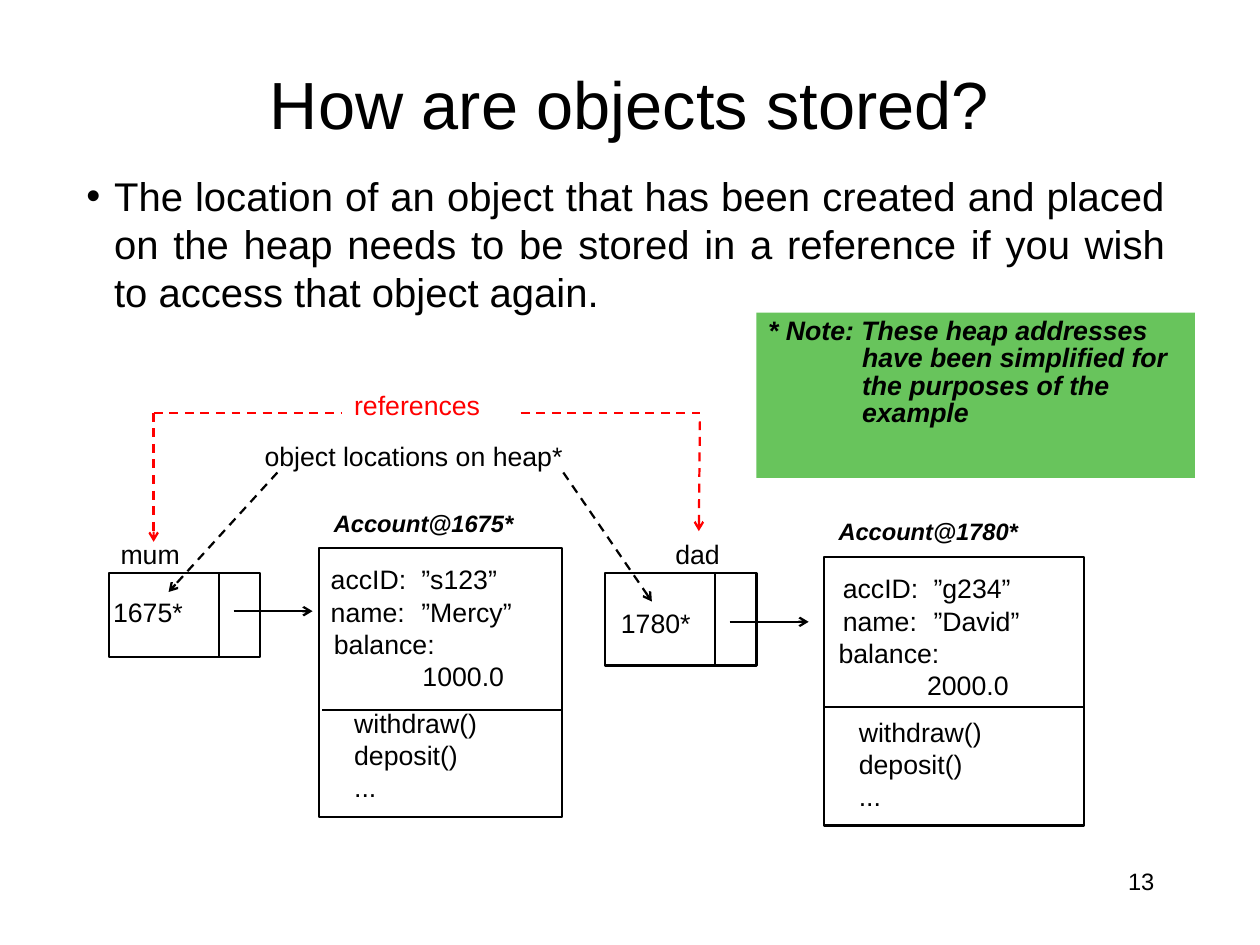
from pptx import Presentation
from pptx.dml.color import RGBColor
from pptx.enum import dml, shapes, text
from pptx.oxml import parse_xml
from pptx.oxml.ns import nsdecls
from pptx.util import Inches, Pt

COLORS = {"ink": "000000", "red": "FF0000", "note": "68C45C"}
INSETS = {"margin_left": 0.11, "margin_right": 0.11,
          "margin_top": 0.06, "margin_bottom": 0.06}
BOLD = {"bold": True, "italic": True}


def rgb(name):
    return RGBColor.from_string(COLORS[name])


def place(sp, x, y, w, h):
    box = {"left": x, "top": y, "width": w, "height": h}
    for name, value in box.items():
        setattr(sp, name, Inches(value))


def write(sp, lines, size=18, color="ink", anchor=text.MSO_ANCHOR.TOP,
          align=text.PP_ALIGN.LEFT, **style):
    tf = sp.text_frame
    tf.word_wrap = True
    tf.auto_size = text.MSO_AUTO_SIZE.NONE
    tf.vertical_anchor = anchor
    for name, value in INSETS.items():
        setattr(tf, name, Inches(value))
    tf.text = "\n".join(lines)
    font = {"name": "Arial", "size": Pt(size), **style}
    for p in tf.paragraphs:
        p.alignment = align
        p.space_before = Pt(0)
        for r in p.runs:
            r.font.color.rgb = rgb(color)
            for name, value in font.items():
                setattr(r.font, name, value)
    return tf.paragraphs


def indent(p, left, first=0):
    pPr = p._p.get_or_add_pPr()
    pPr.set("marL", str(Inches(left)))
    pPr.set("indent", str(Inches(first)))


def add_label(s, x, y, lines, w=2.2, **style):
    h = 0.12 + 0.3 * len(lines)
    sp = s.shapes.add_textbox(Inches(x), Inches(y), Inches(w), Inches(h))
    return write(sp, lines, **style)


def add_box(s, x, y, w, h, fill=None):
    sp = s.shapes.add_shape(shapes.MSO_SHAPE.RECTANGLE, Inches(x), Inches(y),
                            Inches(w), Inches(h))
    sp.shadow.inherit = False
    if fill:
        sp.fill.solid()
        sp.fill.fore_color.rgb = rgb(fill)
        sp.line.fill.background()
    else:
        sp.fill.background()
        sp.line.color.rgb = rgb("ink")
        sp.line.width = Pt(1.5)
    return sp


def add_line(s, x1, y1, x2, y2, color="ink", dashed=False, arrow=False):
    sp = s.shapes.add_connector(shapes.MSO_CONNECTOR.STRAIGHT, Inches(x1),
                                Inches(y1), Inches(x2), Inches(y2))
    sp.line.color.rgb = rgb(color)
    sp.line.width = Pt(1.5)
    if dashed:
        sp.line.dash_style = dml.MSO_LINE.DASH
    if arrow:
        ln = sp.line._get_or_add_ln()
        ln.append(parse_xml(f'<a:tailEnd {nsdecls("a")} type="arrow"/>'))
    sp._element.spPr.append(parse_xml(f'<a:effectLst {nsdecls("a")}/>'))


def add_field(s, x, y, name, value):
    p, = add_label(s, x, y, [f"{name}:\t{value}"])
    tabs = f'<a:tabLst {nsdecls("a")}><a:tab pos="{Inches(0.85)}" algn="l"/></a:tabLst>'
    p._p.get_or_add_pPr().append(parse_xml(tabs))


def add_account(s, x, y, w, field_x, address, acc_id, owner, balance):
    add_box(s, x, y, w, 2.52)
    add_label(s, x + 0.03, y - 0.43, [f"Account@{address}"], size=16, **BOLD)
    add_field(s, field_x, y + 0.08, "accID", acc_id)
    add_field(s, field_x, y + 0.39, "name", owner)
    lines = add_label(s, x + 0.03, y + 0.69, ["balance:", balance])
    indent(lines[1], 0.83)
    add_label(s, x + 0.22, y + 1.43, ["withdraw()", "deposit()", "..."])


def add_reference(s, x, h, name, name_x, address, address_x, address_y, arrow_y):
    add_box(s, x, 5.37, 1.42, h)
    add_line(s, x + 1.03, 5.37, x + 1.03, 5.37 + h)
    add_label(s, name_x, 4.98, [name], w=1)
    add_label(s, address_x, address_y, [address], w=1)
    add_line(s, x + 1.17, arrow_y, x + 1.91, arrow_y, arrow=True)


def add_heading(s):
    title, body = s.placeholders
    place(title, 0.88, 0.52, 10.04, 0.89)
    write(title, ["How are objects stored?"], size=45,
          anchor=text.MSO_ANCHOR.MIDDLE, align=text.PP_ALIGN.CENTER)
    place(body, 0.7, 1.55, 10.33, 1.48)
    p, = write(body, ["The location of an object that has been created and "
                      "placed on the heap needs to be stored in a reference "
                      "if you wish to access that object again."],
               size=27, align=text.PP_ALIGN.JUSTIFY)
    indent(p, 0.26, -0.26)


def add_callouts(s):
    add_label(s, 3.21, 3.59, ["references"], color="red")
    add_label(s, 2.37, 4.06, ["object locations on heap*"], w=3.2)
    red = {"color": "red", "dashed": True}
    add_line(s, 1.44, 3.87, 3.21, 3.87, **red)
    add_line(s, 4.88, 3.87, 6.56, 3.87, **red)
    add_line(s, 1.44, 3.87, 1.44, 5.08, arrow=True, **red)
    add_line(s, 6.56, 3.95, 6.55, 4.98, arrow=True, **red)
    add_line(s, 2.6, 4.43, 1.58, 5.55, dashed=True, arrow=True)
    add_line(s, 5.28, 4.43, 6.11, 5.64, dashed=True, arrow=True)


def add_note(s):
    sp = add_box(s, 7.09, 2.93, 4.11, 1.55, fill="note")
    p, = write(sp, ["* Note: These heap addresses have been simplified "
                    "for the purposes of the example"], **BOLD)
    p.line_spacing = 0.85
    indent(p, 0.88, -0.88)


def main():
    prs = Presentation()
    prs.slide_width, prs.slide_height = Inches(11.81), Inches(8.86)
    s = prs.slides.add_slide(prs.slide_layouts[1])
    add_heading(s)
    add_reference(s, 1.02, 0.79, "mum", 1.02, "1675*", 0.95, 5.53, 5.73)
    add_reference(s, 5.67, 0.87, "dad", 6.22, "1780*", 5.71, 5.63, 5.83)
    add_account(s, 2.99, 5.14, 2.28, 2.99, "1675*", "”s123”", "”Mercy”", "1000.0")
    add_account(s, 7.72, 5.22, 2.44, 7.79, "1780*", "”g234”", "”David”", "2000.0")
    add_line(s, 3.02, 6.66, 5.26, 6.66)
    add_line(s, 7.72, 6.63, 10.16, 6.63)
    add_callouts(s)
    add_note(s)
    add_label(s, 8.47, 8.07, ["13"], w=2.46, size=16, align=text.PP_ALIGN.RIGHT)
    prs.save("out.pptx")


if __name__ == "__main__":
    main()
